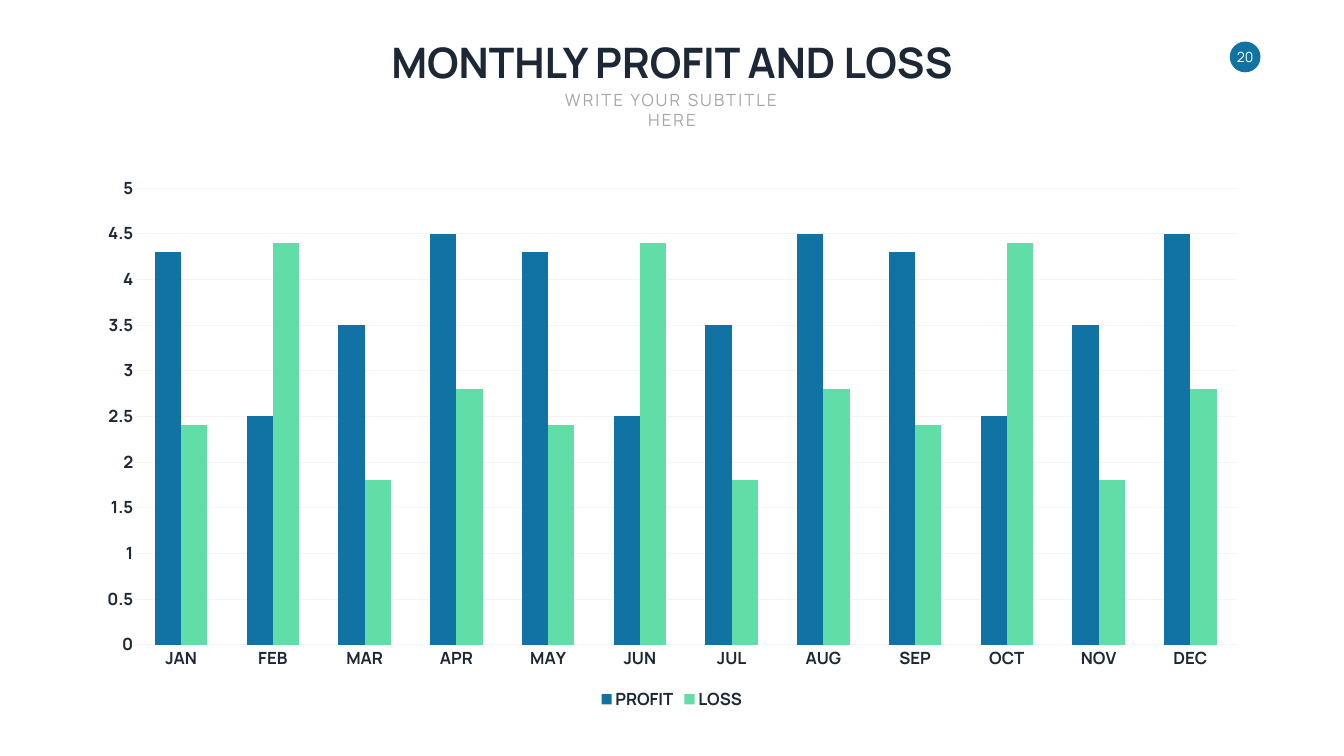
from dataclasses import dataclass

from pptx import Presentation
from pptx.chart.data import CategoryChartData
from pptx.dml.color import RGBColor
from pptx.enum.chart import XL_CHART_TYPE, XL_LEGEND_POSITION, XL_TICK_MARK
from pptx.enum.shapes import MSO_SHAPE
from pptx.enum.text import MSO_ANCHOR, MSO_AUTO_SIZE, PP_ALIGN
from pptx.util import Inches, Pt


@dataclass(frozen=True)
class Theme:
    """Colours, type sizes and font of the slide."""
    face: str = "Manrope"
    ink: str = "1C2835"
    mute: str = "A6A6A6"
    paper: str = "FFFFFF"
    grid: str = "F4F4F4"
    blue: str = "1073A3"
    green: str = "61DDA8"
    head: int = 60
    body: int = 24
    small: int = 20


THEME = Theme()
WIDE, HIGH = 26.66, 15
MONTHS = "JAN FEB MAR APR MAY JUN JUL AUG SEP OCT NOV DEC".split()
SERIES = [
    ("PROFIT", [4.3, 2.5, 3.5, 4.5] * 3, THEME.blue),
    ("LOSS", [2.4, 4.4, 1.8, 2.8] * 3, THEME.green),
]


def paint(fill, tone):
    """Give a fill one solid colour."""
    fill.solid()
    fill.fore_color.rgb = RGBColor.from_string(tone)


def style(font, size, tone, bold=False):
    """Set face, size, colour and weight of a font."""
    font.name, font.size, font.bold = THEME.face, Pt(size), bold
    font.color.rgb = RGBColor.from_string(tone)


def place(box, left, top, width, height):
    """Turn shares of a box into a smaller box."""
    x, y, w, h = box
    return (int(x + left * w), int(y + top * h),
            int(width * w), int(height * h))


def write(shape, text, size, tone, bold=False, wrap=True,
          anchor=MSO_ANCHOR.TOP):
    """Put one centred line of text into a shape."""
    frame = shape.text_frame
    frame.text = text
    frame.auto_size = MSO_AUTO_SIZE.NONE
    frame.word_wrap = wrap
    frame.vertical_anchor = anchor
    line = frame.paragraphs[0]
    line.alignment = PP_ALIGN.CENTER
    style(line.font, size, tone, bold)
    return frame


def header(slide, box):
    """Place the title and the spaced subtitle below it."""
    title = slide.shapes.title
    title.left, title.top, title.width, title.height = place(
        box, 0, 0, 1, 0.72)
    write(title, "MONTHLY PROFIT AND LOSS", THEME.head, THEME.ink, True)
    sub = slide.shapes.add_textbox(*place(box, 0.27, 0.68, 0.46, 0.32))
    frame = write(sub, "WRITE YOUR SUBTITLE HERE", THEME.body, THEME.mute)
    frame.paragraphs[0].runs[0].font._element.set("spc", "300")


def badge(slide, box):
    """Place the round page number."""
    disc = slide.shapes.add_shape(MSO_SHAPE.OVAL, *box)
    disc.shadow.inherit = False
    paint(disc.fill, THEME.blue)
    disc.line.fill.background()
    frame = write(disc, "20", THEME.small, THEME.paper, wrap=False,
                  anchor=MSO_ANCHOR.MIDDLE)
    frame.margin_left = frame.margin_right = 0
    frame.margin_top = frame.margin_bottom = 0


def columns(slide, box):
    """Place the chart of profit and loss by month."""
    data = CategoryChartData()
    data.categories = MONTHS
    for name, vals, _ in SERIES:
        data.add_series(name, vals)
    chart = slide.shapes.add_chart(
        XL_CHART_TYPE.COLUMN_CLUSTERED, *box, data).chart
    chart.has_title = False
    style(chart.font, THEME.body, THEME.ink, True)

    chart.has_legend = True
    chart.legend.position = XL_LEGEND_POSITION.BOTTOM
    chart.legend.include_in_layout = False
    style(chart.legend.font, THEME.body, THEME.ink, True)

    plot = chart.plots[0]
    plot.gap_width, plot.overlap, plot.vary_by_categories = 150, 0, False
    for bars, (_, _, tone) in zip(plot.series, SERIES):
        paint(bars.format.fill, tone)
        bars.invert_if_negative = False

    cats, vals = chart.category_axis, chart.value_axis
    for axis in (cats, vals):
        axis.major_tick_mark = axis.minor_tick_mark = XL_TICK_MARK.NONE
        style(axis.tick_labels.font, THEME.body, THEME.ink, True)
    vals.minimum_scale, vals.maximum_scale, vals.major_unit = 0, 5, 0.5
    vals.has_major_gridlines = True
    vals.format.line.fill.background()
    for line in (cats.format.line, vals.major_gridlines.format.line):
        paint(line.fill, THEME.grid)
        line.width = Pt(0.75)


def build():
    """Build and save the slide."""
    deck = Presentation()
    deck.slide_width, deck.slide_height = Inches(WIDE), Inches(HIGH)
    slide = deck.slides.add_slide(deck.slide_layouts[5])
    paint(slide.background.fill, THEME.paper)
    page = (0, 0, deck.slide_width, deck.slide_height)
    side = Inches(0.61)
    left, top, _, _ = place(page, 0.915, 0.055, 0, 0)
    badge(slide, (left, top, side, side))
    header(slide, place(page, 0.28, 0.045, 0.44, 0.1033))
    columns(slide, place(page, 0.0623, 0.2187, 0.875, 0.726))
    deck.save("out.pptx")


build()
